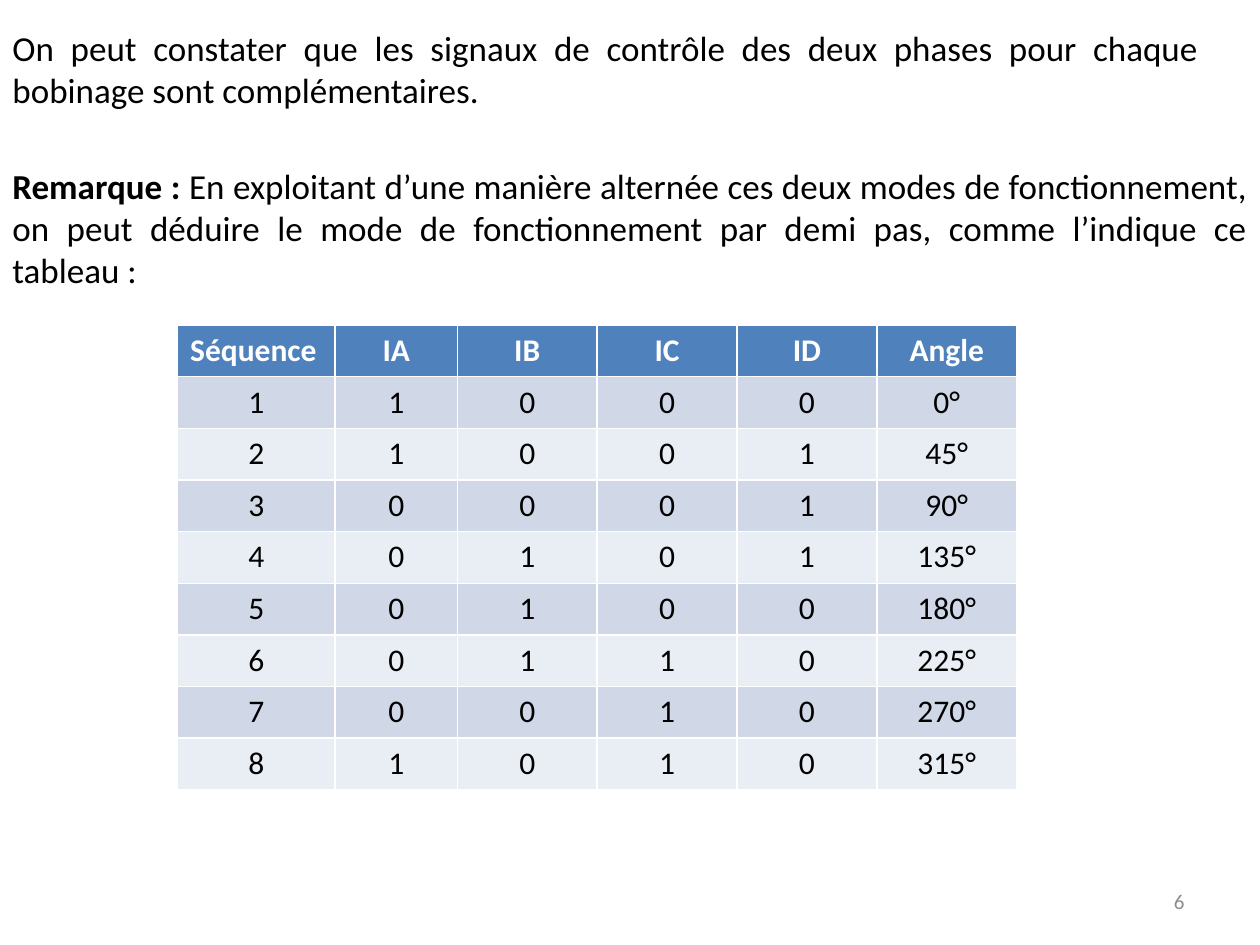
from pptx import Presentation
from pptx.dml.color import RGBColor
from pptx.enum.text import MSO_ANCHOR, MSO_AUTO_SIZE, PP_ALIGN
from pptx.util import Inches, Pt

JUSTIFY, CENTER, RIGHT, LEFT = PP_ALIGN.JUSTIFY, PP_ALIGN.CENTER, PP_ALIGN.RIGHT, PP_ALIGN.LEFT
MIDDLE = MSO_ANCHOR.MIDDLE
GROW, FIXED = MSO_AUTO_SIZE.SHAPE_TO_FIT_TEXT, MSO_AUTO_SIZE.NONE

FONT = "Calibri"
BLACK = RGBColor(0x00, 0x00, 0x00)
WHITE = RGBColor(0xFF, 0xFF, 0xFF)
GREY = RGBColor(0x8C, 0x8C, 0x8C)
HEADER_BLUE = RGBColor(0x4F, 0x81, 0xBD)
BANDS = (RGBColor(0xD0, 0xD8, 0xE8), RGBColor(0xE9, 0xED, 0xF4))

# Content: (position, runs as (text, bold), size, colour, alignment, autosize)
TEXTS = [
    ((0, 0.16, 9.61, 0.77),
     [("On peut constater que les signaux de contrôle des deux phases pour chaque "
       "bobinage sont complémentaires.", False)],
     20, BLACK, JUSTIFY, GROW),
    ((0, 1.25, 10, 1.11),
     [("Remarque : ", True),
      ("En exploitant d’une manière alternée ces deux modes de fonctionnement, "
       "on peut déduire le mode de fonctionnement par demi pas, comme l’indique ce "
       "tableau :", False)],
     20, BLACK, JUSTIFY, GROW),
    ((7.17, 6.95, 2.33, 0.4), [("6", False)], 12, GREY, RIGHT, FIXED),
]
HEADERS = ["Séquence", "IA", "IB", "IC", "ID", "Angle"]
PHASES = ["1000", "1001", "0001", "0101", "0100", "0110", "0010", "1010"]
HALF_STEP = 45
COLUMN_WIDTHS = [1.25, 0.97] + [1.11] * 4
ROW_HEIGHT = 0.41


def add_run(para, text, size, color, bold):
    span = para.add_run()
    span.text = text
    span.font.name = FONT
    span.font.size = Pt(size)
    span.font.bold = bold
    span.font.color.rgb = color


deck = Presentation()
deck.slide_width, deck.slide_height = Inches(10), Inches(7.5)
page = deck.slides.add_slide(deck.slide_layouts[6])

# Paragraphs and page number
for place, runs, size, color, align, autosize in TEXTS:
    box = page.shapes.add_textbox(*map(Inches, place))
    frame = box.text_frame
    frame.word_wrap = True
    frame.auto_size = autosize
    frame.vertical_anchor = MIDDLE
    para = frame.paragraphs[0]
    para.alignment = align
    for text, bold in runs:
        add_run(para, text, size, color, bold)

# Half-step sequence table; its default style draws the white borders
rows = [HEADERS] + [
    [str(step + 1), *phases, f"{step * HALF_STEP}°"] for step, phases in enumerate(PHASES)
]
table = page.shapes.add_table(
    len(rows), len(HEADERS), Inches(1.41), Inches(2.58),
    Inches(sum(COLUMN_WIDTHS)), Inches(ROW_HEIGHT * len(rows))).table
for column, width in zip(table.columns, COLUMN_WIDTHS):
    column.width = Inches(width)
for r, values in enumerate(rows):
    is_header = r == 0
    for c, value in enumerate(values):
        cell = table.cell(r, c)
        cell.fill.solid()
        cell.fill.fore_color.rgb = HEADER_BLUE if is_header else BANDS[(r - 1) % 2]
        para = cell.text_frame.paragraphs[0]
        para.alignment = LEFT if is_header and c == 0 else CENTER
        add_run(para, value, 18, WHITE if is_header else BLACK, is_header)

deck.save("out.pptx")
